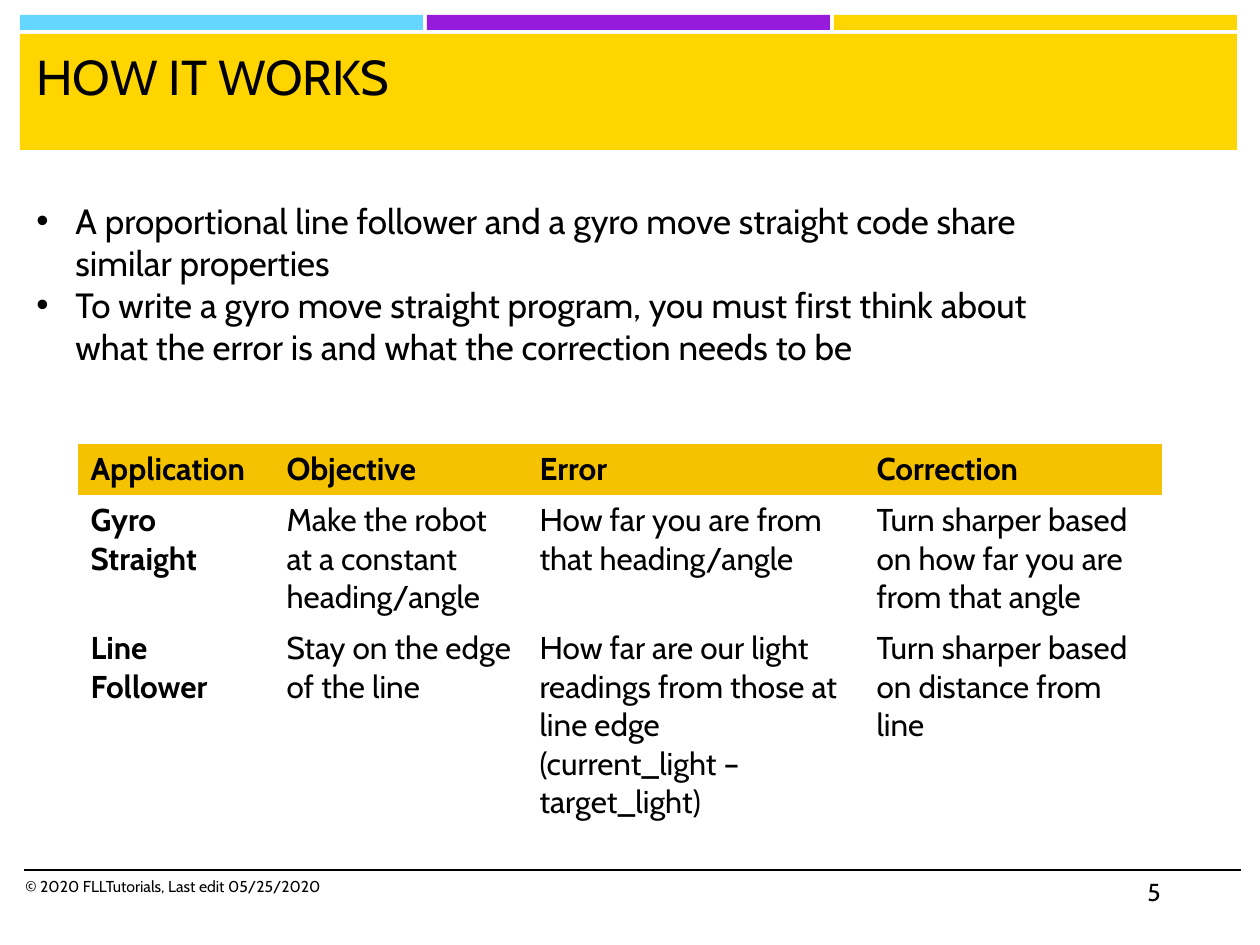
import pptx
import pptx.dml.color
import pptx.enum.shapes
import pptx.enum.text
import pptx.oxml
import pptx.oxml.ns
import pptx.util

SCALE = 914400 // 126
FONT = "Cabin"
BLACK = "000000"
YELLOW = "FFD500"
HEADER_FILL = "F5C201"
NO_STYLE_NO_GRID = "{2D5ABB26-0587-4C30-8999-92F81FD0307C}"

BULLETS = [
    "A proportional line follower and a gyro move straight code share similar properties",
    "To write a gyro move straight program, you must first think about "
    "what the error is and what the correction needs to be",
]
COLUMN_WIDTHS = [196, 253, 337, 298]
ROW_HEIGHTS = [51, 128, 205]
ROWS = [
    ["Application", "Objective", "Error", "Correction"],
    [
        "Gyro Straight",
        "Make the robot at a constant heading/angle",
        "How far you are from that heading/angle",
        "Turn sharper based on how far you are from that angle",
    ],
    [
        "Line Follower",
        "Stay on the edge of the line",
        "How far are our light readings from those at line edge\v(current_light – target_light)",
        "Turn sharper based on distance from line",
    ],
]


def px(length):
    return pptx.util.Emu(length * SCALE)


def color(value):
    return pptx.dml.color.RGBColor.from_string(value)


def style_text(frame, size, bold=False):
    for para in frame.paragraphs:
        for span in para.runs:
            span.font.name = FONT
            span.font.size = pptx.util.Pt(size)
            span.font.bold = bold
            span.font.color.rgb = color(BLACK)


def add_bar(page, left, top, width, height, fill):
    bar = page.shapes.add_shape(
        pptx.enum.shapes.MSO_SHAPE.RECTANGLE, px(left), px(top), px(width), px(height)
    )
    bar.shadow.inherit = False
    bar.fill.solid()
    bar.fill.fore_color.rgb = color(fill)
    bar.line.fill.background()


def add_rule(page, left, right, top):
    rule = page.shapes.add_connector(
        pptx.enum.shapes.MSO_CONNECTOR.STRAIGHT, px(left), px(top), px(right), px(top)
    )
    rule.line.color.rgb = color(BLACK)
    rule.line.width = pptx.util.Pt(1)
    rule.element.spPr.append(pptx.oxml.parse_xml(
        f'<a:effectLst {pptx.oxml.ns.nsdecls("a")}/>'
    ))


def add_text(page, left, top, width, height, text, size):
    box = page.shapes.add_textbox(px(left), px(top), px(width), px(height))
    frame = box.text_frame
    frame.word_wrap = True
    frame.vertical_anchor = pptx.enum.text.MSO_ANCHOR.TOP
    frame.text = text
    style_text(frame, size)
    return frame


def add_bullets(page, left, top, width, height, items, size, indent):
    frame = add_text(page, left, top, width, height, "\n".join(items), size)
    for para in frame.paragraphs:
        properties = para._p.get_or_add_pPr()
        properties.set("marL", str(px(indent)))
        properties.set("indent", str(px(-indent)))
        namespace = pptx.oxml.ns.nsdecls("a")
        properties.append(pptx.oxml.parse_xml(f'<a:buFont {namespace} typeface="Arial"/>'))
        properties.append(pptx.oxml.parse_xml(f'<a:buChar {namespace} char="•"/>'))


def add_comparison(page, left, top):
    holder = page.shapes.add_table(
        len(ROWS), len(COLUMN_WIDTHS), px(left), px(top),
        px(sum(COLUMN_WIDTHS)), px(sum(ROW_HEIGHTS)),
    )
    table = holder.table
    table.horz_banding = False
    for style in holder.element.iter(pptx.oxml.ns.qn("a:tableStyleId")):
        style.text = NO_STYLE_NO_GRID
    for column, width in zip(table.columns, COLUMN_WIDTHS):
        column.width = px(width)
    for row, height in zip(table.rows, ROW_HEIGHTS):
        row.height = px(height)
    for row_index, texts in enumerate(ROWS):
        for column_index, text in enumerate(texts):
            cell = table.cell(row_index, column_index)
            cell.text_frame.text = text
            style_text(cell.text_frame, 18, row_index == 0 or column_index == 0)
            if row_index == 0:
                cell.fill.solid()
                cell.fill.fore_color.rgb = color(HEADER_FILL)
            else:
                cell.fill.background()


def main():
    deck = pptx.Presentation()
    deck.slide_width = px(1260)
    deck.slide_height = px(945)
    page = deck.slides.add_slide(deck.slide_layouts[6])

    for index, fill in enumerate(["65D7FF", "961BDB", YELLOW]):
        add_bar(page, 20 + index * 407, 15, 403, 15, fill)
    add_bar(page, 20, 34, 1217, 116, YELLOW)
    add_rule(page, 24, 1241, 870)
    add_text(page, 13, 871, 672, 50, "© 2020 FLLTutorials, Last edit 05/25/2020", 9)
    add_text(page, 24, 40, 1206, 103, "HOW IT WORKS", 28)
    add_comparison(page, 78, 444)
    add_bullets(page, 24, 193, 1095, 183, BULLETS, 20, 39)
    add_text(page, 1135, 871, 106, 50, "5", 14)

    deck.save("out.pptx")


if __name__ == "__main__":
    main()
